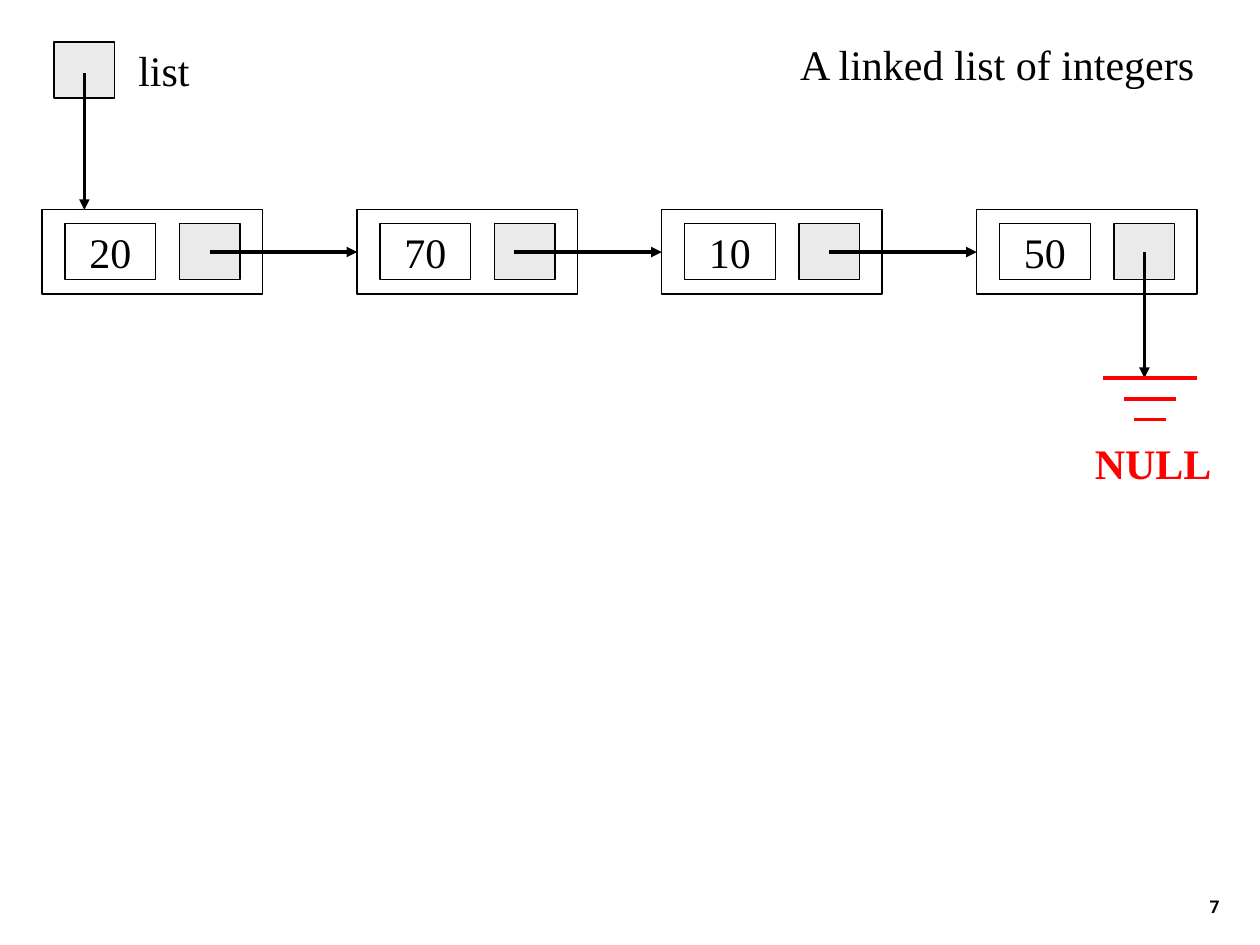
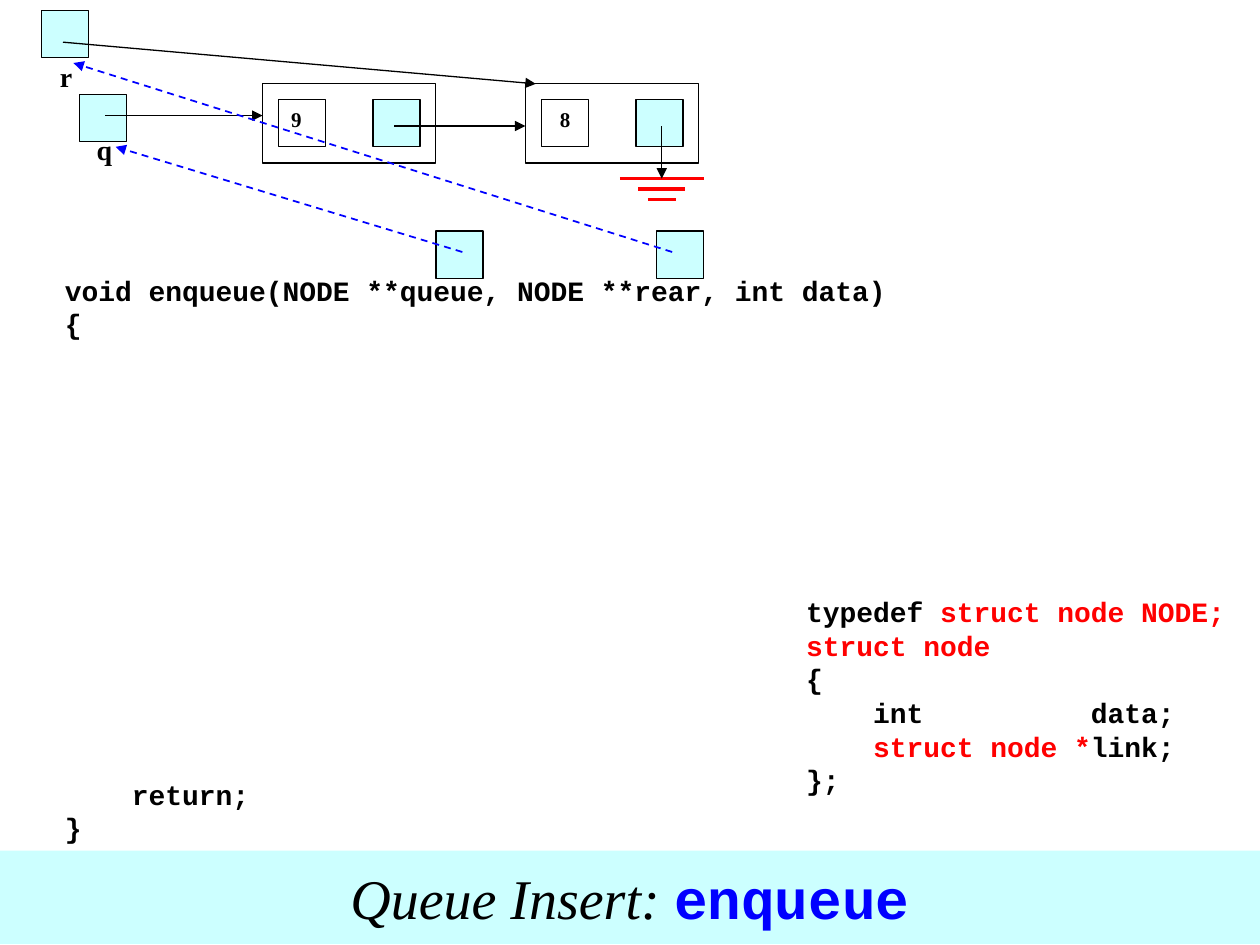
from lxml import etree
from pptx import Presentation
from pptx.dml.color import RGBColor
from pptx.enum.dml import MSO_LINE
from pptx.enum.shapes import MSO_CONNECTOR, MSO_SHAPE
from pptx.enum.text import MSO_ANCHOR, MSO_AUTO_SIZE, PP_ALIGN
from pptx.oxml.ns import qn
from pptx.util import Cm, Pt

RECTANGLE = MSO_SHAPE.RECTANGLE
STRAIGHT = MSO_CONNECTOR.STRAIGHT
DASH = MSO_LINE.DASH
LEFT, CENTER, RIGHT = PP_ALIGN.LEFT, PP_ALIGN.CENTER, PP_ALIGN.RIGHT
TOP, MIDDLE, BOTTOM = MSO_ANCHOR.TOP, MSO_ANCHOR.MIDDLE, MSO_ANCHOR.BOTTOM
NO_FIT = MSO_AUTO_SIZE.NONE

COLORS = {"ink": "000000", "paper": "FFFFFF", "gray": "EAEAEA",
          "cyan": "CCFFFF", "red": "FF0000", "blue": "0000FF"}
SERIF, MONO, SANS = "Times New Roman", "Courier New", "Roboto"
CODE_LINE = 19.2
TITLE_ONLY = 5


def rgb(name):
    return RGBColor.from_string(COLORS[name])


def write(frame, text, align=LEFT, anchor=TOP, wrap=False, pitch=None, gaps=None, **style):
    frame.auto_size = NO_FIT
    frame.word_wrap = wrap
    frame.vertical_anchor = anchor
    frame.margin_left = frame.margin_right = Cm(0.25)
    frame.margin_top = frame.margin_bottom = Cm(0.13)
    lines = [text] if isinstance(text, str) else text
    for index, line in enumerate(lines):
        paragraph = frame.add_paragraph() if index else frame.paragraphs[0]
        paragraph.alignment = align
        if pitch:
            paragraph.line_spacing = Pt(pitch)
        if gaps and index in gaps:
            paragraph.space_before = Pt(gaps[index])
        for words, changes in [(line, {})] if isinstance(line, str) else line:
            look = {"size": 24, "face": SERIF, "color": "ink",
                    "bold": False, "italic": False, **style, **changes}
            run = paragraph.add_run()
            run.text = words
            run.font.size = Pt(look["size"])
            run.font.name = look["face"]
            run.font.bold = look["bold"]
            run.font.italic = look["italic"]
            run.font.color.rgb = rgb(look["color"])


class Deck:
    def __init__(self):
        self.presentation = Presentation()
        self.presentation.slide_width = Cm(25.4)
        self.presentation.slide_height = Cm(19.05)
        self.slide = None

    def new_slide(self):
        layout = self.presentation.slide_layouts[TITLE_ONLY]
        self.slide = self.presentation.slides.add_slide(layout)

    def title(self, text, area, fill=None, **style):
        heading = self.slide.shapes.title
        heading.left, heading.top, heading.width, heading.height = map(Cm, area)
        if fill:
            heading.fill.solid()
            heading.fill.fore_color.rgb = rgb(fill)
        write(heading.text_frame, text, **style)

    def text(self, text, area, **style):
        write(self.slide.shapes.add_textbox(*map(Cm, area)).text_frame, text, **style)

    def box(self, area, fill="paper", outlined=True, text=None, **style):
        cell = self.slide.shapes.add_shape(RECTANGLE, *map(Cm, area))
        cell.shadow.inherit = False
        cell.fill.solid()
        cell.fill.fore_color.rgb = rgb(fill)
        if outlined:
            cell.line.color.rgb = rgb("ink")
            cell.line.width = Pt(0.75)
        else:
            cell.line.fill.background()
        if text:
            write(cell.text_frame, text, **style)

    def line(self, start, end, color="ink", width=2.0, arrow=True, dashed=False):
        stroke = self.slide.shapes.add_connector(STRAIGHT, *map(Cm, (*start, *end)))
        stroke.line.color.rgb = rgb(color)
        stroke.line.width = Pt(width)
        if dashed:
            stroke.line.dash_style = DASH
        properties = stroke._element.spPr
        if arrow:
            etree.SubElement(properties.find(qn("a:ln")), qn("a:tailEnd"), type="triangle")
        etree.SubElement(properties, qn("a:effectLst"))

    def ground(self, center, top, step, widths):
        for row, width in enumerate(widths):
            y = top + row * step
            self.line((center - width / 2, y), (center + width / 2, y), "red", arrow=False)


def linked_list_slide(deck):
    deck.new_slide()
    deck.title("A linked list of integers", (15.88, 0.64, 8.51, 1.27))
    deck.text("7", (19.56, 17.35, 5.28, 1.27), align=RIGHT, anchor=BOTTOM,
              wrap=True, size=10, face=SANS, bold=True)

    node_top, link_y = 4.23, 5.08
    node_lefts = (0.85, 7.2, 13.34, 19.69)
    for left, value in zip(node_lefts, ("20", "70", "10", "50")):
        deck.box((left, node_top, 4.44, 1.7))
        deck.box((left + 0.46, node_top + 0.28, 1.83, 1.13), text=value,
                 align=CENTER, anchor=MIDDLE)
        deck.box((left + 2.77, node_top + 0.28, 1.22, 1.13), "gray")

    deck.box((1.09, 0.85, 1.22, 1.13), "gray")
    deck.text("list", (2.54, 0.76, 1.55, 1.27))
    deck.line((1.7, 1.48), (1.7, node_top))
    for link_start, next_left in zip((4.24, 10.37, 16.72), node_lefts[1:]):
        deck.line((link_start, link_y), (next_left, link_y))

    deck.line((23.07, link_y), (23.07, 7.62))
    deck.ground(23.18, 7.62, 0.42, (1.9, 1.06, 0.64))
    deck.text("NULL", (21.82, 8.69, 2.84, 1.27), color="red", bold=True)


def enqueue_slide(deck):
    deck.new_slide()
    deck.title([[("Queue Insert: ", {"italic": True}),
                 ("enqueue", {"face": MONO, "color": "blue", "bold": True})]],
               (0, 17.15, 25.4, 1.88), fill="cyan", size=32, align=CENTER, anchor=MIDDLE)

    code = {"size": 16, "face": MONO, "bold": True, "pitch": CODE_LINE}
    red = {"color": "red"}
    deck.text([[("typedef ", {}), ("struct node NODE;", red)],
               [("struct node", red)],
               "{",
               "    int          data;",
               [("    ", {}), ("struct node *", red), ("link;", {})],
               "};"], (16, 11.86, 8.94, 4.32), **code)
    deck.text(["void enqueue(NODE **queue, NODE **rear, int data)", "{",
               "    return;", "}"],
              (1.06, 5.38, 17.98, 12.45), wrap=True, gaps={2: 13 * CODE_LINE}, **code)

    cell = 0.95
    for name, label_area in (("r", (0.96, 1.07, 0.85, 0.96)),
                             ("q", (1.7, 2.54, 0.64, 0.96))):
        deck.box(label_area, outlined=False, text=name, wrap=True, size=16, bold=True)

    node_top, link_y = 1.69, 2.54
    for left, value, align in ((5.29, "9", LEFT), (10.59, "8", CENTER)):
        deck.box((left, node_top, 3.49, 1.6))
        deck.box((left + 0.33, node_top + 0.32, cell, cell), text=value,
                 align=align, wrap=True, size=12, bold=True)
        deck.box((left + 2.23, node_top + 0.32, cell, cell), "cyan")

    for left, top in ((0.84, 0.21), (1.6, 1.91), (8.79, 4.66), (13.23, 4.66)):
        deck.box((left, top, cell, cell), "cyan")

    deck.ground(13.34, 3.6, 0.21, (1.69, 0.95, 0.56))
    for start, end in (((2.12, 2.33), (5.29, 2.33)),
                       ((7.95, link_y), (10.59, link_y)),
                       ((13.34, link_y), (13.34, 3.6)),
                       ((1.27, 0.85), (10.8, 1.69))):
        deck.line(start, end, width=0.75)
    for start, end in (((9.32, 5.08), (2.33, 2.96)), ((13.55, 5.08), (1.48, 1.27))):
        deck.line(start, end, "blue", width=1, dashed=True)


def main():
    deck = Deck()
    linked_list_slide(deck)
    enqueue_slide(deck)
    deck.presentation.save("out.pptx")


if __name__ == "__main__":
    main()
